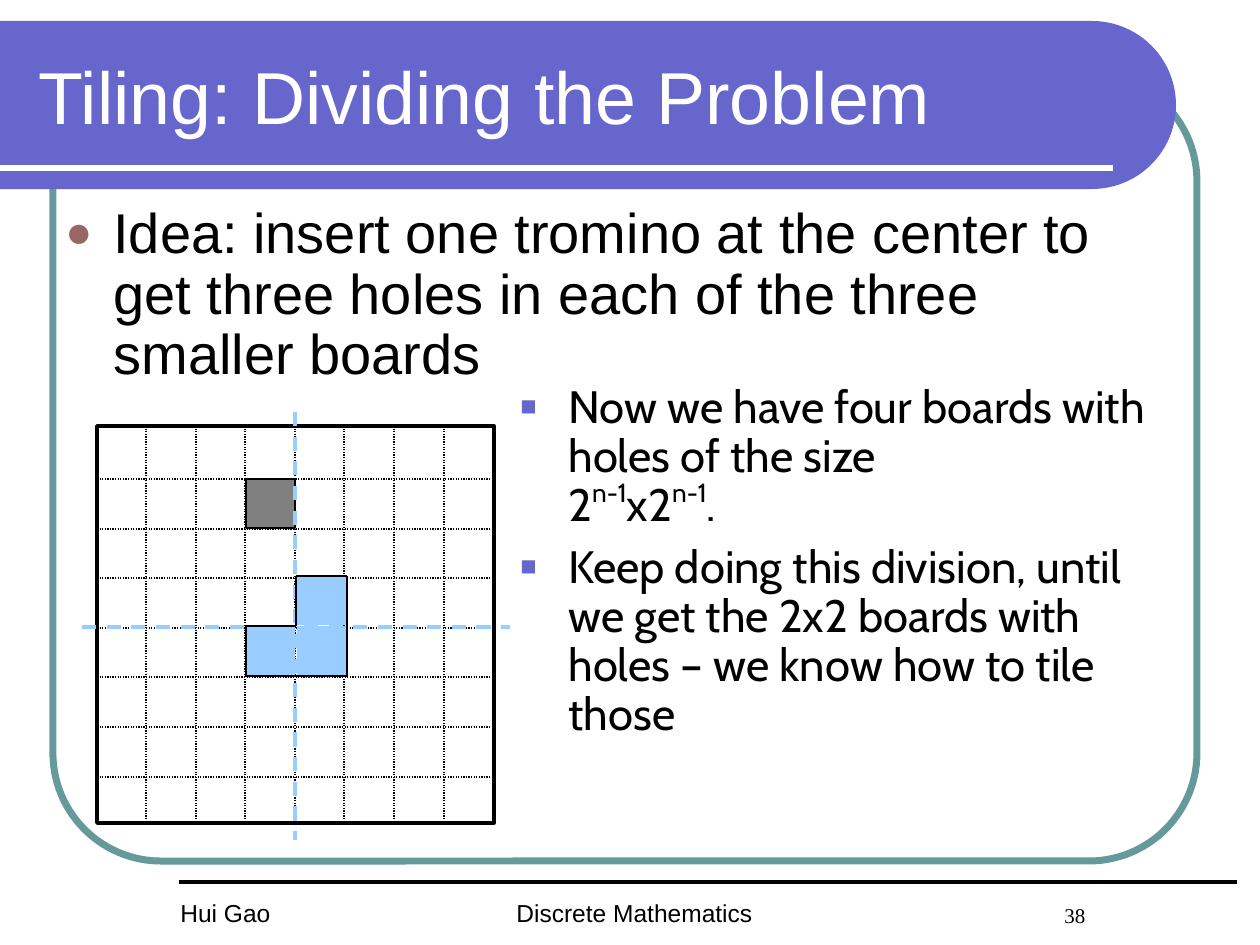
from math import cos, pi, sin

from lxml.etree import SubElement
from pptx import Presentation
from pptx.dml.color import RGBColor
from pptx.enum.dml import MSO_LINE
from pptx.enum.shapes import MSO_CONNECTOR, MSO_SHAPE
from pptx.enum.text import MSO_ANCHOR, MSO_AUTO_SIZE, PP_ALIGN
from pptx.oxml.ns import qn
from pptx.util import Emu, Pt

# Colours
BLACK = RGBColor(0x00, 0x00, 0x00)
WHITE = RGBColor(0xFF, 0xFF, 0xFF)
TEAL = RGBColor(0x66, 0x99, 0x99)
VIOLET = RGBColor(0x66, 0x66, 0xCC)
MAROON = RGBColor(0x99, 0x66, 0x66)
GRAY = RGBColor(0x80, 0x80, 0x80)
SKY = RGBColor(0x99, 0xCC, 0xFF)

# Content: each paragraph is a list of (text, is_superscript) runs
TITLE = "Tiling: Dividing the Problem"
IDEA = [[("Idea: insert one tromino at the center to get three holes in each "
          "of the three smaller boards", False)]]
STEPS = [
    [("Now we have four boards with holes of the size\v2", False), ("n-1", True),
     ("x2", False), ("n-1", True), (".", False)],
    [("Keep doing this division, until we get the 2x2 boards with holes – "
      "we know how to tile those", False)],
]
FOOTERS = [  # text, left, top, width, size, font
    ("Hui Gao", 168, 892, 242, 14, "Arial"),
    ("Discrete Mathematics", 504, 892, 400, 14, "Arial"),
    ("38", 1052, 896, 100, 12, "Times New Roman"),
]

# Board geometry in px
BOARD_LEFT, BOARD_TOP, BOARD_SIZE = 97, 426, 397
CELL, FIRST_COLUMN, FIRST_ROW = 49.6, 146, 479
TILE = 49
HOLE = (246, 479)
TROMINO_TILES = [(297, 626), (246, 626), (297, 576)]
TROMINO_CORNERS = [(347, 576), (347, 676), (246, 676),
                   (246, 626), (296, 626), (296, 576)]


def px(value):
    return Emu(round(value * 914400 / 126))


presentation = Presentation()
presentation.slide_width, presentation.slide_height = px(1260), px(945)
slide = presentation.slides.add_slide(presentation.slide_layouts[5])
shapes = slide.shapes


def paint(shape, fill=None, line=None, line_width=1):
    shape.shadow.inherit = False
    if fill is None:
        shape.fill.background()
    else:
        shape.fill.solid()
        shape.fill.fore_color.rgb = fill
    if line is None:
        shape.line.fill.background()
    else:
        shape.line.color.rgb = line
        shape.line.width = Pt(line_width)


def add_box(left, top, width, height, kind=MSO_SHAPE.RECTANGLE, **style):
    shape = shapes.add_shape(kind, px(left), px(top), px(width), px(height))
    paint(shape, **style)
    return shape


def add_line(start, end, color, width, dash=None):
    line = shapes.add_connector(MSO_CONNECTOR.STRAIGHT,
                                *(px(value) for value in (*start, *end)))
    line.line.color.rgb = color
    line.line.width = Pt(width)
    if dash is not None:
        line.line.dash_style = dash
    SubElement(line._element.spPr, qn("a:effectLst"))


def add_text_frame(left, top, width, height):
    frame = shapes.add_textbox(px(left), px(top), px(width), px(height)).text_frame
    frame.word_wrap = True
    return frame


def style_font(font, size, name, color=BLACK):
    font.size, font.name, font.color.rgb = Pt(size), name, color


def add_bullet(paragraph, char, color, percent):
    properties = paragraph._p.get_or_add_pPr()
    properties.set("marL", str(px(48)))
    properties.set("indent", str(-px(48)))
    bullet_color = SubElement(properties, qn("a:buClr"))
    SubElement(bullet_color, qn("a:srgbClr"), val=str(color))
    SubElement(properties, qn("a:buSzPct"), val=str(percent * 1000))
    SubElement(properties, qn("a:buFont"), typeface="Arial")
    SubElement(properties, qn("a:buChar"), char=char)


def add_list(frame, items, bullet, size, font_name, gap):
    for index, runs in enumerate(items):
        paragraph = frame.add_paragraph() if index else frame.paragraphs[0]
        add_bullet(paragraph, *bullet)
        paragraph.line_spacing = 0.9
        paragraph.space_before = Pt(gap if index else 0)
        for text, is_superscript in runs:
            for number, part in enumerate(text.split("\v")):
                if number:
                    paragraph.add_line_break()
                run = paragraph.add_run()
                run.text = part
                style_font(run.font, size, font_name)
                if is_superscript:
                    run.font._element.set("baseline", "44000")


# Frame and title banner with a half-round right end
frame_shape = add_box(53, 73, 1144, 788, MSO_SHAPE.ROUNDED_RECTANGLE,
                      line=TEAL, line_width=4)
frame_shape.adjustments[0] = 0.137
ARC_STEPS = 48
arc = [(px(1092 + 84 * sin(pi * i / ARC_STEPS)), px(105 - 84 * cos(pi * i / ARC_STEPS)))
       for i in range(ARC_STEPS + 1)]
builder = shapes.build_freeform(0, px(21), scale=1.0)
builder.add_line_segments(arc + [(0, px(189))], close=True)
paint(builder.convert_to_shape(), fill=VIOLET)
add_line((0, 168), (1113, 168), WHITE, 3)

# Title, brought in front of the banner
title = shapes.title
shapes._spTree.append(title._element)
title.left, title.top, title.width, title.height = px(26), px(32), px(1105), px(126)
title.text_frame.text = TITLE
title.text_frame.auto_size = MSO_AUTO_SIZE.NONE
title.text_frame.vertical_anchor = MSO_ANCHOR.MIDDLE
title.text_frame.paragraphs[0].alignment = PP_ALIGN.LEFT
style_font(title.text_frame.paragraphs[0].runs[0].font, 42, "Arial", WHITE)

# Footer
add_line((179, 882), (1237, 882), BLACK, 2.25)
for text, left, top, width, size, font_name in FOOTERS:
    footer = add_text_frame(left, top, width, 42)
    footer.text = text
    style_font(footer.paragraphs[0].runs[0].font, size, font_name)

# Idea
add_list(add_text_frame(53, 199, 1092, 210), IDEA, ("●", MAROON, 80), 32, "Arial", 8)

# Board with its hole and dotted grid
add_box(*HOLE, TILE, TILE, fill=GRAY, line=BLACK, line_width=1.5)
add_box(BOARD_LEFT, BOARD_TOP, BOARD_SIZE, BOARD_SIZE, line=BLACK, line_width=2)
right, bottom = BOARD_LEFT + BOARD_SIZE, BOARD_TOP + BOARD_SIZE
for index in range(7):
    x = round(FIRST_COLUMN + index * CELL)
    y = round(FIRST_ROW + index * CELL)
    add_line((x, BOARD_TOP), (x, bottom), BLACK, 0.75, MSO_LINE.ROUND_DOT)
    add_line((BOARD_LEFT, y), (right, y), BLACK, 0.75, MSO_LINE.ROUND_DOT)

# Division into four boards
add_line((82, 627), (510, 627), SKY, 2, MSO_LINE.DASH)
add_line((295, 412), (295, 840), SKY, 2, MSO_LINE.DASH)

# Steps
add_list(add_text_frame(508, 378, 689, 412), STEPS, ("■", VIOLET, 60), 25.9, "Cabin", 7)

# Tromino at the center
for left, top in TROMINO_TILES:
    add_box(left, top, TILE, TILE, fill=SKY)
for start, end in zip(TROMINO_CORNERS, TROMINO_CORNERS[1:] + TROMINO_CORNERS[:1]):
    add_line(start, end, BLACK, 1.5)

presentation.save("out.pptx")
